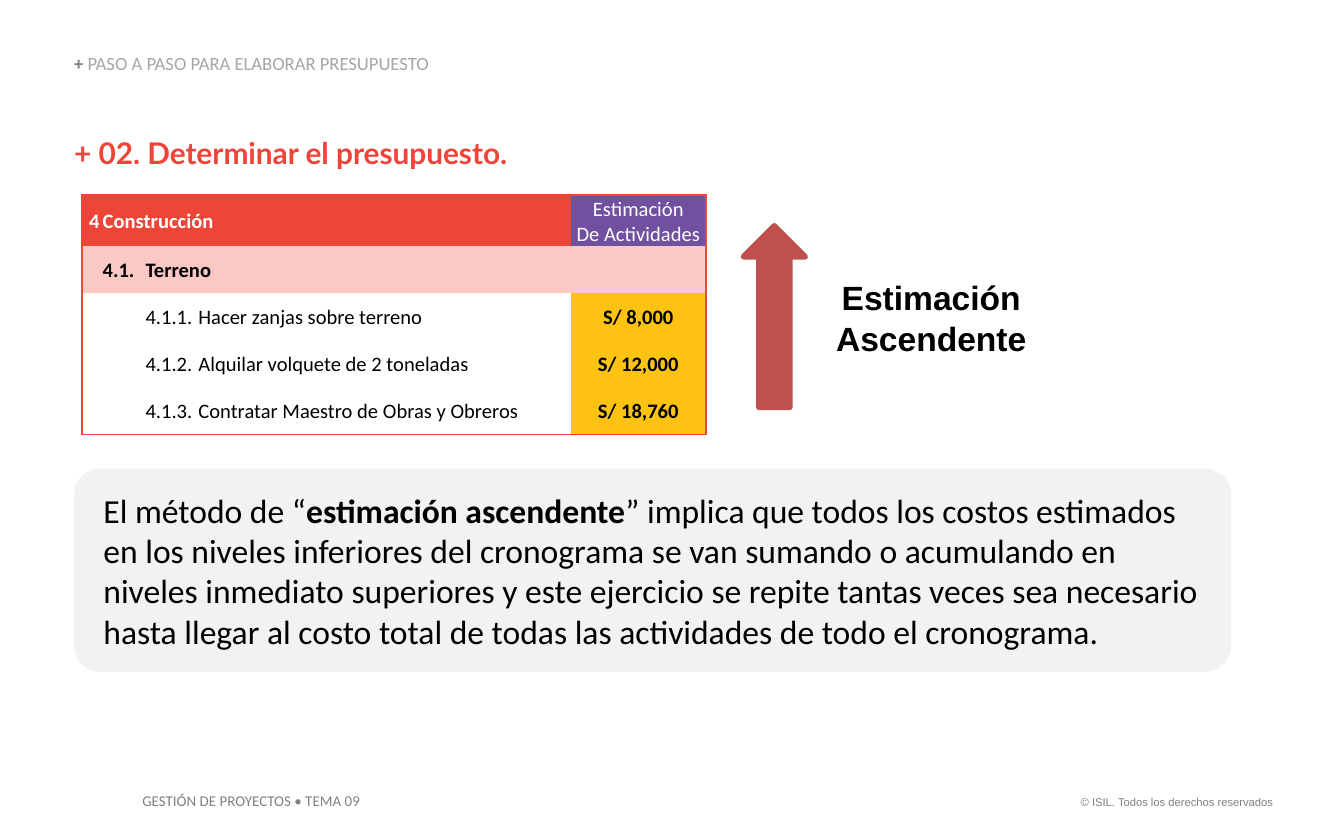
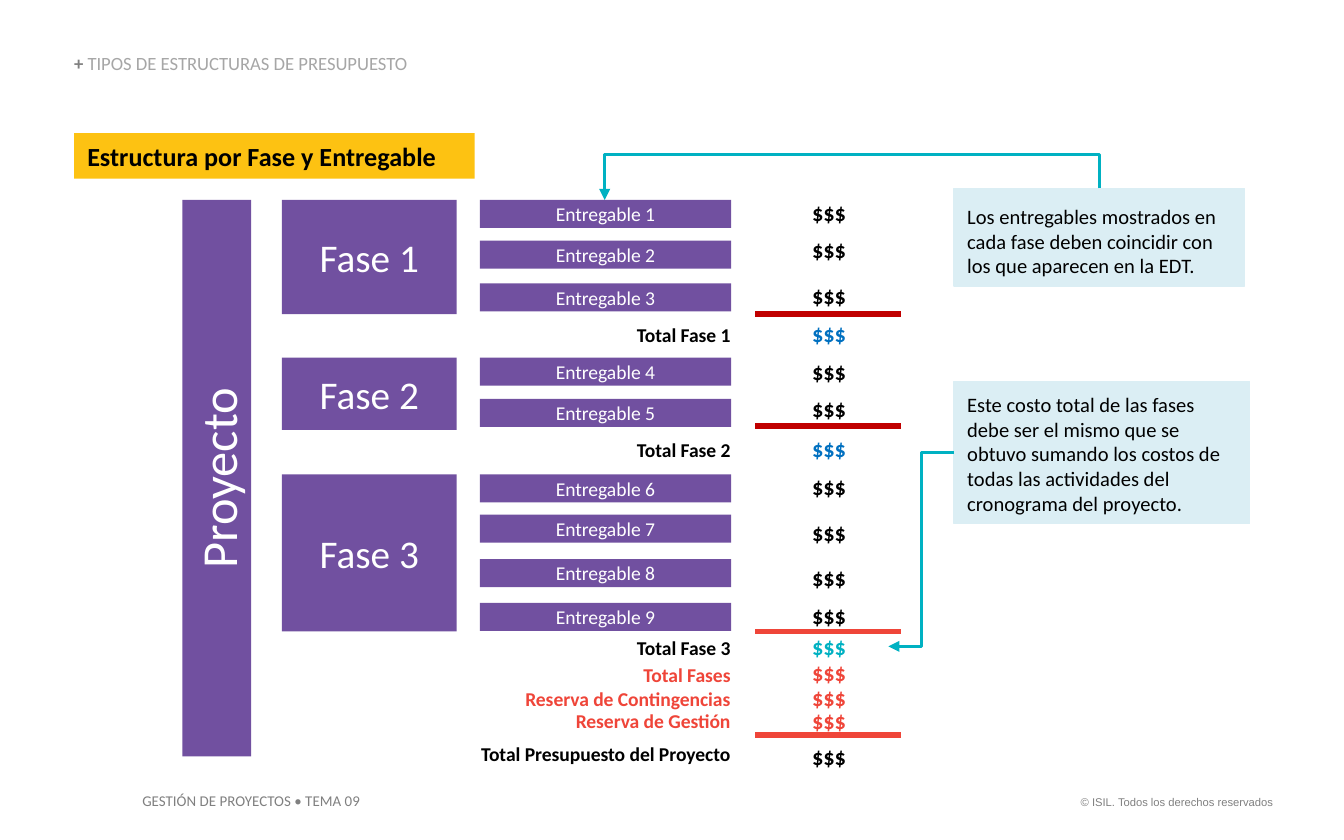
from lxml import etree
from pptx import Presentation
from pptx.dml.color import RGBColor
from pptx.enum.shapes import MSO_CONNECTOR, MSO_SHAPE
from pptx.enum.text import MSO_ANCHOR, MSO_AUTO_SIZE, PP_ALIGN
from pptx.oxml.ns import qn
from pptx.util import Cm, Pt

RECT, ROUNDED, UP_ARROW = MSO_SHAPE.RECTANGLE, MSO_SHAPE.ROUNDED_RECTANGLE, MSO_SHAPE.UP_ARROW
STRAIGHT, ELBOW = MSO_CONNECTOR.STRAIGHT, MSO_CONNECTOR.ELBOW
LEFT, CENTER, RIGHT = PP_ALIGN.LEFT, PP_ALIGN.CENTER, PP_ALIGN.RIGHT
TOP, MIDDLE, BOTTOM = MSO_ANCHOR.TOP, MSO_ANCHOR.MIDDLE, MSO_ANCHOR.BOTTOM
NO_FIT, GROW = MSO_AUTO_SIZE.NONE, MSO_AUTO_SIZE.SHAPE_TO_FIT_TEXT

BLACK = RGBColor(0x00, 0x00, 0x00)
WHITE = RGBColor(0xFF, 0xFF, 0xFF)
GRAY = RGBColor(0x80, 0x80, 0x80)
SILVER = RGBColor(0xA6, 0xA6, 0xA6)
PALE_GRAY = RGBColor(0xF2, 0xF2, 0xF2)
RED = RGBColor(0xEF, 0x45, 0x39)
PINK = RGBColor(0xFB, 0xC8, 0xC4)
BRICK = RGBColor(0xC0, 0x50, 0x4D)
DARK_RED = RGBColor(0xC0, 0x00, 0x00)
PURPLE = RGBColor(0x71, 0x50, 0xA0)
YELLOW = RGBColor(0xFD, 0xC2, 0x12)
BLUE = RGBColor(0x00, 0x70, 0xC0)
TEAL = RGBColor(0x00, 0xB1, 0xC2)
PALE_BLUE = RGBColor(0xDB, 0xEE, 0xF4)

PLAIN_TABLE = "{2D5ABB26-0587-4C30-8999-92F81FD0307C}"
INSETS = (0.25, 0.13, 0.25, 0.13)
NO_INSETS = (0, 0, 0, 0)
CELL_INSETS = (0.03, 0.03, 0.03, 0)


class Deck:
    """Holds the style and the current slide; lengths are in centimetres."""

    def __init__(self, prs):
        self.prs = prs
        self.s = None

    def fill_text(self, tf, paragraphs, align=LEFT, **fmt):
        """Each paragraph is a string or a list of (text, format) runs."""
        base = {"name": "Calibri", "size": 11, "bold": False, "color": BLACK, **fmt}
        for i, runs in enumerate(paragraphs):
            p = tf.add_paragraph() if i else tf.paragraphs[0]
            p.alignment = align
            p.space_before = Pt(0)
            for text, own in [(runs, {})] if isinstance(runs, str) else runs:
                r = p.add_run()
                r.text = text
                values = {**base, **own}
                r.font.color.rgb = values.pop("color")
                values["size"] = Pt(values["size"])
                for key, value in values.items():
                    setattr(r.font, key, value)

    def frame(self, tf, anchor=TOP, insets=INSETS, wrap=True, fit=NO_FIT):
        left, top, right, bottom = (Cm(v) for v in insets)
        values = {"word_wrap": wrap, "auto_size": fit, "vertical_anchor": anchor,
                  "margin_left": left, "margin_top": top,
                  "margin_right": right, "margin_bottom": bottom}
        for key, value in values.items():
            setattr(tf, key, value)

    def new_slide(self, title):
        self.s = self.prs.slides.add_slide(self.prs.slide_layouts[5])
        sp = self.s.shapes.title
        sp.left, sp.top, sp.width, sp.height = Cm(1.4), Cm(1.04), Cm(17.6), Cm(0.38)
        self.frame(sp.text_frame, BOTTOM, NO_INSETS)
        self.fill_text(sp.text_frame, [[("+ ", {"bold": True, "color": GRAY}), (title, {})]],
                       size=10, color=SILVER)
        sp.text_frame.paragraphs[0].line_spacing = 0.9
        # Footers
        self.text(20.09, 14.91, 4.22, 0.51, "© ISIL. Todos los derechos reservados", RIGHT,
                  wrap=False, fit=GROW, name="Arial", size=6, color=GRAY)
        self.text(2.44, 14.83, 4.7, 0.61, "GESTIÓN DE PROYECTOS • TEMA 09",
                  wrap=False, fit=GROW, size=8, color=GRAY)

    def text(self, x, y, w, h, text, align=LEFT, insets=INSETS, wrap=True, fit=NO_FIT, **fmt):
        sp = self.s.shapes.add_textbox(Cm(x), Cm(y), Cm(w), Cm(h))
        self.frame(sp.text_frame, TOP, insets, wrap, fit)
        self.fill_text(sp.text_frame, [text], align, **fmt)

    def shape(self, kind, x, y, w, h, fill, line=None, line_width=0.75):
        sp = self.s.shapes.add_shape(kind, Cm(x), Cm(y), Cm(w), Cm(h))
        sp.shadow.inherit = False
        sp.fill.solid()
        sp.fill.fore_color.rgb = fill
        if line is None:
            sp.line.fill.background()
        else:
            sp.line.color.rgb = line
            sp.line.width = Pt(line_width)
        return sp

    def box(self, x, y, w, h, text, fill, align=LEFT, anchor=TOP, insets=INSETS,
            kind=RECT, line=None, **fmt):
        sp = self.shape(kind, x, y, w, h, fill, line)
        self.frame(sp.text_frame, anchor, insets)
        self.fill_text(sp.text_frame, [text], align, **fmt)
        return sp

    def block(self, x, y, w, h, text, size):
        return self.box(x, y, w, h, text, PURPLE, CENTER, MIDDLE, size=size, color=WHITE)

    def note(self, x, y, w, h, text, top_inset):
        self.box(x, y, w, h, text, PALE_BLUE, insets=(0.25, top_inset, 0.25, 0.13),
                 line=PALE_BLUE)

    def line(self, x1, y1, x2, y2, color, width, kind=STRAIGHT, arrow=False):
        cxn = self.s.shapes.add_connector(kind, Cm(x1), Cm(y1), Cm(x2), Cm(y2))
        cxn.line.color.rgb = color
        cxn.line.width = Pt(width)
        sp_pr = cxn.element.spPr
        if arrow:
            etree.SubElement(sp_pr.find(qn("a:ln")), qn("a:tailEnd"), type="triangle")
        etree.SubElement(sp_pr, qn("a:effectLst"))
        return cxn

    def over_arrow(self, x1, y1, x2, y2, peak, color, width):
        """Elbow that leaves upwards, runs left at height peak and comes down."""
        mid_x, mid_y = (x1 + x2) / 2, (y1 + y2) / 2
        dx, dy = (y2 - y1) / 2, (x1 - x2) / 2
        cxn = self.line(mid_x + dx, mid_y + dy, mid_x - dx, mid_y - dy,
                        color, width, ELBOW, True)
        cxn.rotation = 270
        bend = round((peak - y1) / (y2 - y1) * 100000)
        guides = cxn.element.spPr.find(qn("a:prstGeom")).find(qn("a:avLst"))
        etree.SubElement(guides, qn("a:gd"), name="adj1", fmla=f"val {bend}")

    def table(self, x, y, widths, heights, cells, merges, border):
        """cells maps (row, column) to (paragraphs, fill, align, format)."""
        rows, cols = len(heights), len(widths)
        tbl = self.s.shapes.add_table(rows, cols, Cm(x), Cm(y),
                                      Cm(sum(widths)), Cm(sum(heights))).table
        tbl.first_row = tbl.horz_banding = False
        tbl._tbl.tblPr.find(qn("a:tableStyleId")).text = PLAIN_TABLE
        for column, width in zip(tbl.columns, widths):
            column.width = Cm(width)
        for row, height in zip(tbl.rows, heights):
            row.height = Cm(height)
        for first, last in merges:
            tbl.cell(*first).merge(tbl.cell(*last))
        for i in range(rows):
            for j in range(cols):
                paragraphs, fill, align, fmt = cells.get((i, j), ([], None, LEFT, {}))
                cell = tbl.cell(i, j)
                cell.vertical_anchor = MIDDLE
                (cell.margin_left, cell.margin_top,
                 cell.margin_right, cell.margin_bottom) = (Cm(v) for v in CELL_INSETS)
                if fill is None:
                    cell.fill.background()
                else:
                    cell.fill.solid()
                    cell.fill.fore_color.rgb = fill
                if paragraphs:
                    self.fill_text(cell.text_frame, paragraphs, align, **fmt)
                else:
                    cell.text_frame.paragraphs[0].font.size = Pt(11)
                edges = {"L": j == 0, "R": j == cols - 1, "T": i == 0, "B": i == rows - 1}
                self.borders(cell, [side for side, outer in edges.items() if outer], border)

    def borders(self, cell, sides, color):
        tc_pr = cell._tc.get_or_add_tcPr()
        for i, side in enumerate(sides):
            ln = etree.Element(qn(f"a:ln{side}"), w=str(Pt(1)))
            solid = etree.SubElement(ln, qn("a:solidFill"))
            etree.SubElement(solid, qn("a:srgbClr"), val=str(color))
            tc_pr.insert(i, ln)


def budget_slide(d):
    d.new_slide("PASO A PASO PARA ELABORAR PRESUPUESTO")
    d.text(1.4, 2.54, 22.73, 0.69, "+ 02. Determinar el presupuesto.", insets=NO_INSETS,
           name="Lato", size=16, bold=True, color=RED)

    # Cost table
    bold, head = {"bold": True}, {"bold": True, "color": WHITE}
    cells = {(0, 0): (["4"], RED, RIGHT, head),
             (0, 1): (["Construcción"], RED, LEFT, head),
             (0, 4): (["Estimación", "De Actividades"], PURPLE, CENTER, {"color": WHITE}),
             (1, 0): ([], PINK, LEFT, {}),
             (1, 1): (["4.1."], PINK, LEFT, bold),
             (1, 2): (["Terreno"], PINK, LEFT, bold),
             (1, 4): ([], PINK, LEFT, {})}
    activities = [("Hacer zanjas sobre terreno", "S/ 8,000"),
                  ("Alquilar volquete de 2 toneladas", "S/ 12,000"),
                  ("Contratar Maestro de Obras y Obreros", "S/ 18,760")]
    for n, (activity, cost) in enumerate(activities, 1):
        cells[n + 1, 2] = ([f"4.1.{n}."], None, LEFT, {})
        cells[n + 1, 3] = ([activity], None, LEFT, {})
        cells[n + 1, 4] = ([cost], YELLOW, CENTER, bold)
    d.table(1.55, 3.69, [0.36, 0.81, 1.0, 7.07, 2.55], [0.92] + [0.89] * 4, cells,
            [((0, 1), (0, 3)), ((1, 2), (1, 3))], RED)

    # Bottom-up estimate
    d.shape(UP_ARROW, 14.05, 4.27, 1.17, 3.43, BRICK, BRICK, 3)
    d.text(15.21, 5.11, 4.78, 1.8, "Estimación Ascendente", CENTER,
           name="Arial", size=18, bold=True)
    sp = d.box(1.4, 8.86, 21.87, 3.84,
               [("El método de “", {}), ("estimación ascendente", bold),
                ("” implica que todos los costos estimados en los niveles inferiores del "
                 "cronograma se van sumando o acumulando en niveles inmediato superiores y "
                 "este ejercicio se repite tantas veces sea necesario hasta llegar al costo "
                 "total de todas las actividades de todo el cronograma.", {})],
               PALE_GRAY, anchor=MIDDLE, insets=(0.41, 0.13, 0.3, 0.13), kind=ROUNDED, size=18)
    sp.adjustments[0] = 0.13


def structure_slide(d):
    d.new_slide("TIPOS DE ESTRUCTURAS DE PRESUPUESTO")
    d.box(1.4, 2.52, 7.57, 0.86, "Estructura por Fase y Entregable", YELLOW,
          size=14, bold=True)

    # Project, phases and deliverables
    sp = d.block(3.45, 3.78, 1.3, 10.52, "Proyecto", 27)
    sp.text_frame._txBody.bodyPr.set("vert", "vert270")
    phases = [(3.78, 2.16, [3.78, 4.55, 5.36]),
              (6.76, 1.37, [6.76, 7.54]),
              (8.97, 2.97, [8.97, 9.73, 10.57, 11.4])]
    deliverable = 0
    for n, (y, h, tops) in enumerate(phases, 1):
        d.block(5.33, y, 3.3, h, f"Fase {n}", 21)
        for top in tops:
            deliverable += 1
            d.block(9.07, top, 4.75, 0.53, f"Entregable {deliverable}", 10.5)

    # Amounts
    amounts = {BLACK: [3.63, 4.34, 5.21, 6.65, 7.34, 8.81, 9.68, 10.54, 11.25, 13.92],
               BLUE: [5.92, 8.1], TEAL: [11.84], RED: [12.34, 12.8, 13.23]}
    for color, tops in amounts.items():
        for y in tops:
            d.text(14.55, y, 2.24, 0.76, "$$$", CENTER, size=12, bold=True, color=color)

    # Totals
    labels_right = 14.06
    totals = [(5.97, 3.1, "Total Fase 1", BLACK), (8.15, 3.1, "Total Fase 2", BLACK),
              (11.89, 3.1, "Total Fase 3", BLACK), (12.4, 3.1, "Total Fases", RED),
              (12.85, 10.5, "Reserva de Contingencias", RED),
              (13.28, 10.5, "Reserva de Gestión", RED),
              (13.89, 10.5, "Total Presupuesto del Proyecto", BLACK)]
    for y, w, label, color in totals:
        d.text(labels_right - w, y, w, 0.71, label, RIGHT, size=10.5, bold=True, color=color)
    for y, color in [(5.94, DARK_RED), (8.05, DARK_RED), (11.94, RED), (13.89, RED)]:
        d.line(14.27, y, 17.02, y, color, 3)

    # Notes and their arrows
    d.note(18.03, 3.56, 5.49, 1.85, "Los entregables mostrados en cada fase deben coincidir "
           "con los que aparecen en la EDT.", 0.3)
    d.note(18.03, 7.21, 5.59, 2.69, "Este costo total de las fases debe ser el mismo que se "
           "obtuvo sumando los costos de todas las actividades del cronograma del proyecto.", 0.2)
    d.line(18.03, 8.56, 16.79, 12.22, TEAL, 1.5, ELBOW, True)
    d.over_arrow(20.78, 3.56, 11.43, 3.78, 2.92, TEAL, 1.5)


def main():
    prs = Presentation()
    prs.slide_width, prs.slide_height = Cm(25.4), Cm(15.88)
    d = Deck(prs)
    budget_slide(d)
    structure_slide(d)
    prs.save("out.pptx")


if __name__ == "__main__":
    main()
